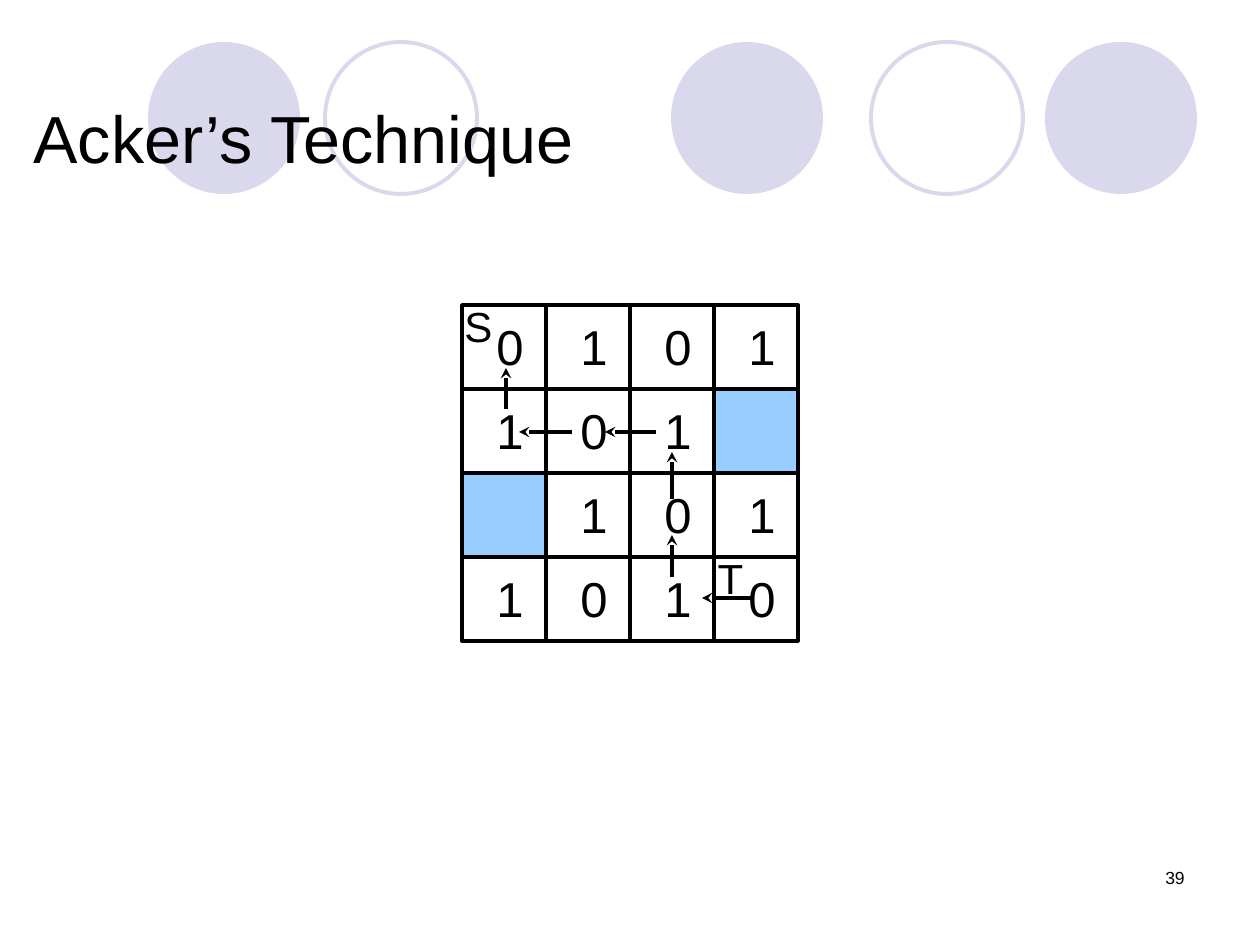
from dataclasses import dataclass

from lxml import etree
from pptx import Presentation
from pptx.dml.color import RGBColor
from pptx.enum.shapes import MSO_CONNECTOR, MSO_SHAPE
from pptx.enum.text import MSO_ANCHOR, MSO_AUTO_SIZE, PP_ALIGN
from pptx.oxml.ns import qn
from pptx.slide import Slide
from pptx.util import Emu, Pt

ELLIPSE, RECTANGLE = MSO_SHAPE.OVAL, MSO_SHAPE.RECTANGLE
STRAIGHT = MSO_CONNECTOR.STRAIGHT
LEFT, CENTER, RIGHT = PP_ALIGN.LEFT, PP_ALIGN.CENTER, PP_ALIGN.RIGHT
TOP, MIDDLE = MSO_ANCHOR.TOP, MSO_ANCHOR.MIDDLE
GROW = MSO_AUTO_SIZE.SHAPE_TO_FIT_TEXT

PX_PER_INCH = 126


@dataclass(frozen=True)
class Theme:
    font: str = "Arial"
    ink: RGBColor = RGBColor(0x00, 0x00, 0x00)
    circle: RGBColor = RGBColor(0xD9, 0xD8, 0xEC)
    obstacle: RGBColor = RGBColor(0x99, 0xCC, 0xFF)
    title_size: int = 38
    digit_size: int = 28
    terminal_size: int = 24
    number_size: int = 10
    grid_line: float = 2
    circle_line: float = 2.25


@dataclass(frozen=True)
class Box:
    left: int
    top: int
    width: int
    height: int


@dataclass(frozen=True)
class Label:
    text: str
    box: Box
    size: int
    align: PP_ALIGN = CENTER
    anchor: MSO_ANCHOR = TOP
    wrap: bool = False


@dataclass(frozen=True)
class Circle:
    left: int
    filled: bool


@dataclass(frozen=True)
class Arrow:
    start: tuple[int, int]
    end: tuple[int, int]


THEME = Theme()
CIRCLE_TOP, CIRCLE_SIZE = 42, 152
CIRCLES = [
    Circle(671, True),
    Circle(1045, True),
    Circle(148, True),
    Circle(871, False),
    Circle(325, False),
]

# One character per cell; "#" is an obstacle.
MAZE = ["0101", "101#", "#101", "1010"]
GRID_LEFT, GRID_TOP, CELL = 462, 305, 84
DIGIT = Box(22, 5, 52, 72)  # offset and size inside a cell

TITLE = Label("Acker’s Technique", Box(21, 95, 1218, 84), THEME.title_size, LEFT, MIDDLE, True)
SOURCE = Label("S", Box(452, 294, 52, 63), THEME.terminal_size)
TARGET = Label("T", Box(705, 546, 51, 63), THEME.terminal_size)
SLIDE_NUMBER = Label("39", Box(903, 861, 294, 63), THEME.number_size, RIGHT, wrap=True)

BACKTRACE = [
    Arrow((753, 598), (702, 598)),
    Arrow((672, 577), (672, 535)),
    Arrow((672, 499), (672, 452)),
    Arrow((656, 432), (605, 432)),
    Arrow((572, 432), (519, 432)),
    Arrow((506, 409), (506, 368)),
]


def px(length: int) -> Emu:
    return Emu(round(length * 914400 / PX_PER_INCH))


def place(box: Box) -> tuple[Emu, Emu, Emu, Emu]:
    return px(box.left), px(box.top), px(box.width), px(box.height)


def add_figure(slide: Slide, kind: MSO_SHAPE, box: Box, fill: RGBColor | None,
               line: RGBColor | None, line_width: float) -> None:
    """Draw a preset shape; None leaves its fill or line out."""
    shape = slide.shapes.add_shape(kind, *place(box))
    shape.shadow.inherit = False
    if fill is None:
        shape.fill.background()
    else:
        shape.fill.solid()
        shape.fill.fore_color.rgb = fill
    if line is None:
        shape.line.fill.background()
    else:
        shape.line.color.rgb = line
        shape.line.width = Pt(line_width)


def add_label(slide: Slide, label: Label) -> None:
    text_frame = slide.shapes.add_textbox(*place(label.box)).text_frame
    text_frame.word_wrap = label.wrap
    text_frame.vertical_anchor = label.anchor
    if not label.wrap:
        text_frame.auto_size = GROW
    text_frame.text = label.text
    paragraph = text_frame.paragraphs[0]
    paragraph.alignment = label.align
    font = paragraph.runs[0].font
    font.name = THEME.font
    font.size = Pt(label.size)
    font.color.rgb = THEME.ink


def add_circle(slide: Slide, circle: Circle) -> None:
    box = Box(circle.left, CIRCLE_TOP, CIRCLE_SIZE, CIRCLE_SIZE)
    fill, line = (THEME.circle, None) if circle.filled else (None, THEME.circle)
    add_figure(slide, ELLIPSE, box, fill, line, THEME.circle_line)


def add_maze(slide: Slide) -> None:
    """Draw all cells first, then the digits on top of them."""
    digits = []
    for row, values in enumerate(MAZE):
        for column, value in enumerate(values):
            left, top = GRID_LEFT + column * CELL, GRID_TOP + row * CELL
            fill = THEME.obstacle if value == "#" else None
            add_figure(slide, RECTANGLE, Box(left, top, CELL, CELL), fill,
                       THEME.ink, THEME.grid_line)
            if value != "#":
                box = Box(left + DIGIT.left, top + DIGIT.top, DIGIT.width, DIGIT.height)
                digits.append(Label(value, box, THEME.digit_size))
    for digit in digits:
        add_label(slide, digit)


def add_arrow(slide: Slide, arrow: Arrow) -> None:
    points = [px(length) for length in arrow.start + arrow.end]
    connector = slide.shapes.add_connector(STRAIGHT, *points)
    connector.line.color.rgb = THEME.ink
    connector.line.width = Pt(THEME.grid_line)
    properties = connector._element.spPr
    etree.SubElement(properties.find(qn("a:ln")), qn("a:tailEnd"), type="stealth")
    etree.SubElement(properties, qn("a:effectLst"))


def main() -> None:
    presentation = Presentation()
    presentation.slide_width, presentation.slide_height = px(1260), px(945)
    slide = presentation.slides.add_slide(presentation.slide_layouts[6])
    for circle in CIRCLES:
        add_circle(slide, circle)
    add_label(slide, TITLE)
    add_maze(slide)
    for label in (SOURCE, TARGET):
        add_label(slide, label)
    for arrow in BACKTRACE:
        add_arrow(slide, arrow)
    add_label(slide, SLIDE_NUMBER)
    presentation.save("out.pptx")


if __name__ == "__main__":
    main()
